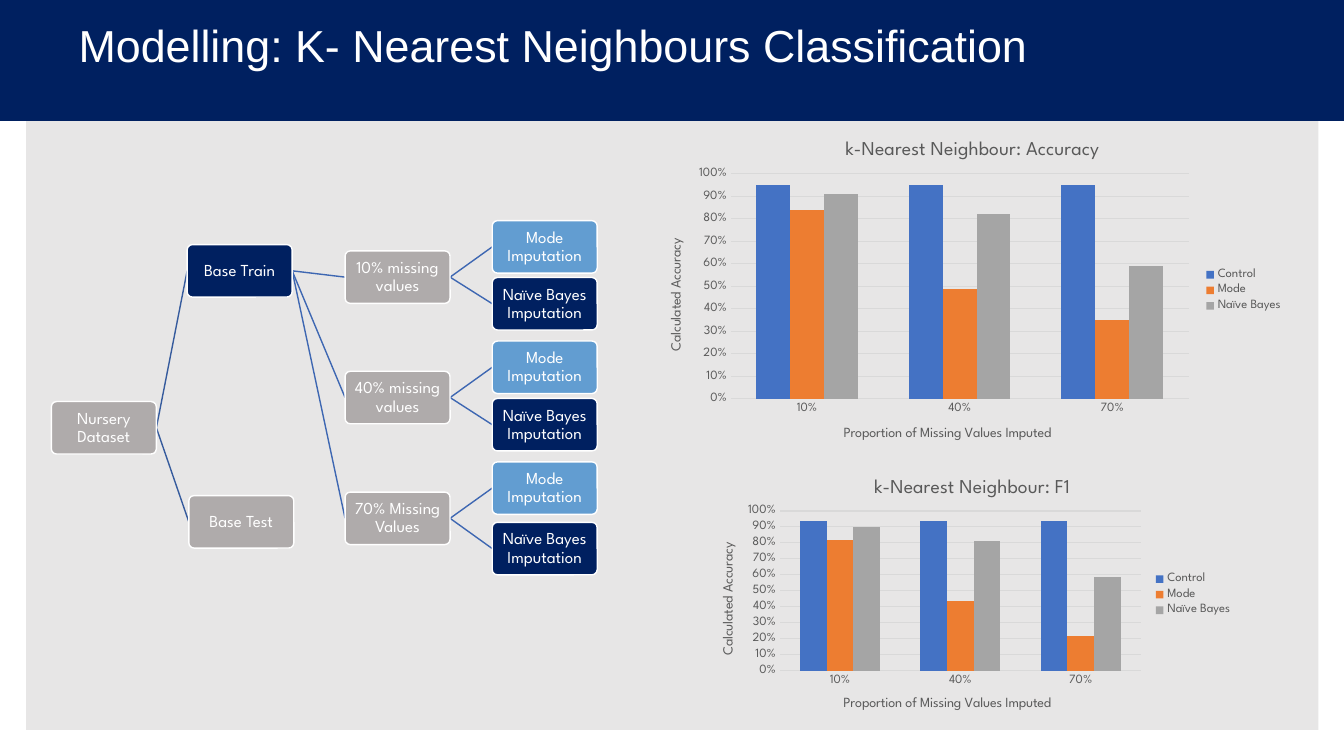
"""Builds the slide on k-nearest-neighbour modelling: a data tree and two column charts."""
from dataclasses import dataclass

from lxml import etree
from pptx import Presentation
from pptx.chart.data import CategoryChartData
from pptx.dml.color import RGBColor
from pptx.enum.chart import XL_CHART_TYPE, XL_LEGEND_POSITION, XL_TICK_MARK
from pptx.enum.shapes import MSO_CONNECTOR, MSO_SHAPE
from pptx.enum.text import MSO_ANCHOR, PP_ALIGN
from pptx.oxml.ns import qn
from pptx.util import Pt


@dataclass(frozen=True)
class Theme:
    """Colours, fonts and type sizes."""
    navy: str = "002060"
    panel: str = "E7E6E6"
    stone: str = "AFABAB"
    sky: str = "629DD1"
    white: str = "FFFFFF"
    root_link: str = "365B9D"
    link: str = "3E67B2"
    label: str = "595959"
    grid: str = "D9D9D9"
    series: tuple = ("4472C4", "ED7D31", "A5A5A5")
    heading_font: str = "Arial"
    body_font: str = "League Spartan"
    heading: int = 32
    node: int = 12
    chart_heading: int = 14
    axis_heading: int = 10
    tick: int = 9


THEME = Theme()
HEADING = "Modelling: K- Nearest Neighbours Classification"
ROOT = ("Nursery Dataset", 36.7, 286.8, THEME.stone)
TRAIN = ("Base Train", 133.7, 174.7, THEME.navy)
TEST = ("Base Test", 134.9, 354, THEME.stone)
BRANCH_LEFT, LEAF_LEFT = 246.5, 351.6
BRANCHES = [
    ("10% missing values", 179.2, (157.6, 198.2)),
    ("40% missing values", 265.2, (243.6, 284.6)),
    ("70% Missing Values", 351.5, (329.9, 373.1)),
]
LEAVES = [("Mode Imputation", THEME.sky), ("Naïve Bayes Imputation", THEME.navy)]
NODE_WIDTH, NODE_HEIGHT = 75, 37.5

PROPORTIONS = ["10%", "40%", "70%"]
CATEGORY_HEADING = "Proportion of Missing Values Imputed"
VALUE_HEADING = "Calculated Accuracy"
CHARTS = [
    {
        "heading": "k-Nearest Neighbour: Accuracy",
        "frame": (461.5, 86.4, 462.2, 241.9),
        "plot": (522, 124.3, 327, 160.7),
        "heading_at": (601.5, 97),
        "category_at": (600.7, 303),
        "value_at": (476.4, 168.5),
        "series": {
            "Control": (0.95, 0.95, 0.95),
            "Mode": (0.84, 0.49, 0.35),
            "Naïve Bayes": (0.91, 0.82, 0.59),
        },
    },
    {
        "heading": "k-Nearest Neighbour: F1",
        "frame": (497.5, 328.3, 390.2, 193),
        "plot": (557, 365, 258, 114.3),
        "heading_at": (622, 338.5),
        "category_at": (600.7, 495.7),
        "value_at": (513.5, 385.7),
        "series": {
            "Control": (0.94, 0.94, 0.94),
            "Mode": (0.82, 0.44, 0.22),
            "Naïve Bayes": (0.9, 0.81, 0.59),
        },
    },
]


def rgb(colour):
    return RGBColor.from_string(colour)


def style(font, name, size, colour):
    font.name, font.size, font.bold = name, Pt(size), False
    font.color.rgb = rgb(colour)


def block(slide, kind, box, fill, outline=None):
    shape = slide.shapes.add_shape(kind, *map(Pt, box))
    shape.shadow.inherit = False
    shape.fill.solid()
    shape.fill.fore_color.rgb = rgb(fill)
    if outline:
        shape.line.color.rgb = rgb(outline)
        shape.line.width = Pt(1)
    else:
        shape.line.fill.background()
    return shape


def write(frame, text, font, size, inset, align):
    frame.word_wrap = True
    frame.vertical_anchor = MSO_ANCHOR.MIDDLE
    frame.margin_left = frame.margin_right = Pt(inset)
    frame.margin_top = frame.margin_bottom = Pt(1)
    frame.text = text
    paragraph = frame.paragraphs[0]
    paragraph.alignment = align
    paragraph.line_spacing = 0.9
    style(paragraph.runs[0].font, font, size, THEME.white)


def add_node(slide, node):
    text, left, top, fill = node
    box = (left, top, NODE_WIDTH, NODE_HEIGHT)
    shape = block(slide, MSO_SHAPE.ROUNDED_RECTANGLE, box, fill, THEME.white)
    shape.adjustments[0] = 0.1
    write(shape.text_frame, text, THEME.body_font, THEME.node, 2, PP_ALIGN.CENTER)


def add_link(slide, parent, child, colour):
    middle = NODE_HEIGHT / 2
    ends = (parent[1] + NODE_WIDTH, parent[2] + middle, child[1], child[2] + middle)
    link = slide.shapes.add_connector(MSO_CONNECTOR.STRAIGHT, *map(Pt, ends))
    link.line.color.rgb = rgb(colour)
    link.line.width = Pt(1)
    etree.SubElement(link._element.spPr, qn("a:effectLst"))


def add_tree(slide):
    nodes = [ROOT, TRAIN, TEST]
    links = [(ROOT, TRAIN, THEME.root_link), (ROOT, TEST, THEME.root_link)]
    for text, top, leaf_tops in BRANCHES:
        branch = (text, BRANCH_LEFT, top, THEME.stone)
        leaves = [(leaf, LEAF_LEFT, leaf_top, fill)
                  for (leaf, fill), leaf_top in zip(LEAVES, leaf_tops)]
        nodes += [branch, *leaves]
        links.append((TRAIN, branch, THEME.link))
        links += [(branch, leaf, THEME.link) for leaf in leaves]
    for link in links:
        add_link(slide, *link)
    for node in nodes:
        add_node(slide, node)


def place(part, index, frame, box):
    """Pins a chart part at a slide position, as fractions of the chart frame."""
    for old in part.findall(qn("c:layout")):
        part.remove(old)
    layout = etree.Element(qn("c:layout"))
    part.insert(index, layout)
    manual = etree.SubElement(layout, qn("c:manualLayout"))
    left, top, width, height = frame
    shares = [(box[0] - left) / width, (box[1] - top) / height]
    settings = [("xMode", "edge"), ("yMode", "edge")]
    if len(box) == 4:
        settings.insert(0, ("layoutTarget", "inner"))
        shares += [box[2] / width, box[3] / height]
    settings += [(key, f"{share:.4f}") for key, share in zip("xywh", shares)]
    for key, value in settings:
        etree.SubElement(manual, qn(f"c:{key}")).set("val", value)


def add_heading(title, text, size, frame, spot):
    title.text_frame.text = text
    style(title.text_frame.paragraphs[0].runs[0].font, THEME.body_font, size, THEME.label)
    place(title._element, 1, frame, spot)


def add_columns(slide, content):
    data = CategoryChartData(number_format="0%")
    data.categories = PROPORTIONS
    for name, values in content["series"].items():
        data.add_series(name, values)
    frame = content["frame"]
    chart = slide.shapes.add_chart(XL_CHART_TYPE.COLUMN_CLUSTERED, *map(Pt, frame), data).chart
    style(chart.font, THEME.body_font, THEME.tick, THEME.label)
    chart.has_title = True
    add_heading(chart.chart_title, content["heading"], THEME.chart_heading, frame, content["heading_at"])
    chart.has_legend = True
    chart.legend.position = XL_LEGEND_POSITION.RIGHT
    chart.legend.include_in_layout = False
    style(chart.legend.font, THEME.body_font, THEME.tick, THEME.label)
    plot = chart.plots[0]
    plot.gap_width, plot.overlap, plot.vary_by_categories = 150, 0, False
    for series, colour in zip(plot.series, THEME.series):
        series.format.fill.solid()
        series.format.fill.fore_color.rgb = rgb(colour)
    categories, values = chart.category_axis, chart.value_axis
    for axis, text, spot in ((categories, CATEGORY_HEADING, "category_at"), (values, VALUE_HEADING, "value_at")):
        axis.major_tick_mark = axis.minor_tick_mark = XL_TICK_MARK.NONE
        style(axis.tick_labels.font, THEME.body_font, THEME.tick, THEME.label)
        add_heading(axis.axis_title, text, THEME.axis_heading, frame, content[spot])
    turn = values.axis_title.text_frame._txBody.bodyPr
    turn.set("rot", "-5400000")
    turn.set("vert", "horz")
    values.minimum_scale, values.maximum_scale, values.major_unit = 0, 1, 0.1
    values.tick_labels.number_format, values.tick_labels.number_format_is_linked = "0%", False
    values.format.line.fill.background()
    for line in (categories.format.line, values.major_gridlines.format.line):
        line.color.rgb = rgb(THEME.grid)
        line.width = Pt(0.75)
    place(chart._chartSpace.chart.plotArea, 0, frame, content["plot"])


def main():
    deck = Presentation()
    deck.slide_width, deck.slide_height = Pt(960), Pt(540)
    slide = deck.slides.add_slide(deck.slide_layouts[6])
    block(slide, MSO_SHAPE.RECTANGLE, (18.7, 18.7, 923, 502.6), THEME.panel)
    block(slide, MSO_SHAPE.RECTANGLE, (0, 0, 960, 86.4), THEME.navy)
    heading = slide.shapes.add_textbox(*map(Pt, (49, 18.7, 874.8, 31)))
    write(heading.text_frame, HEADING, THEME.heading_font, THEME.heading, 7.2, PP_ALIGN.LEFT)
    add_tree(slide)
    for content in CHARTS:
        add_columns(slide, content)
    deck.save("out.pptx")


if __name__ == "__main__":
    main()
